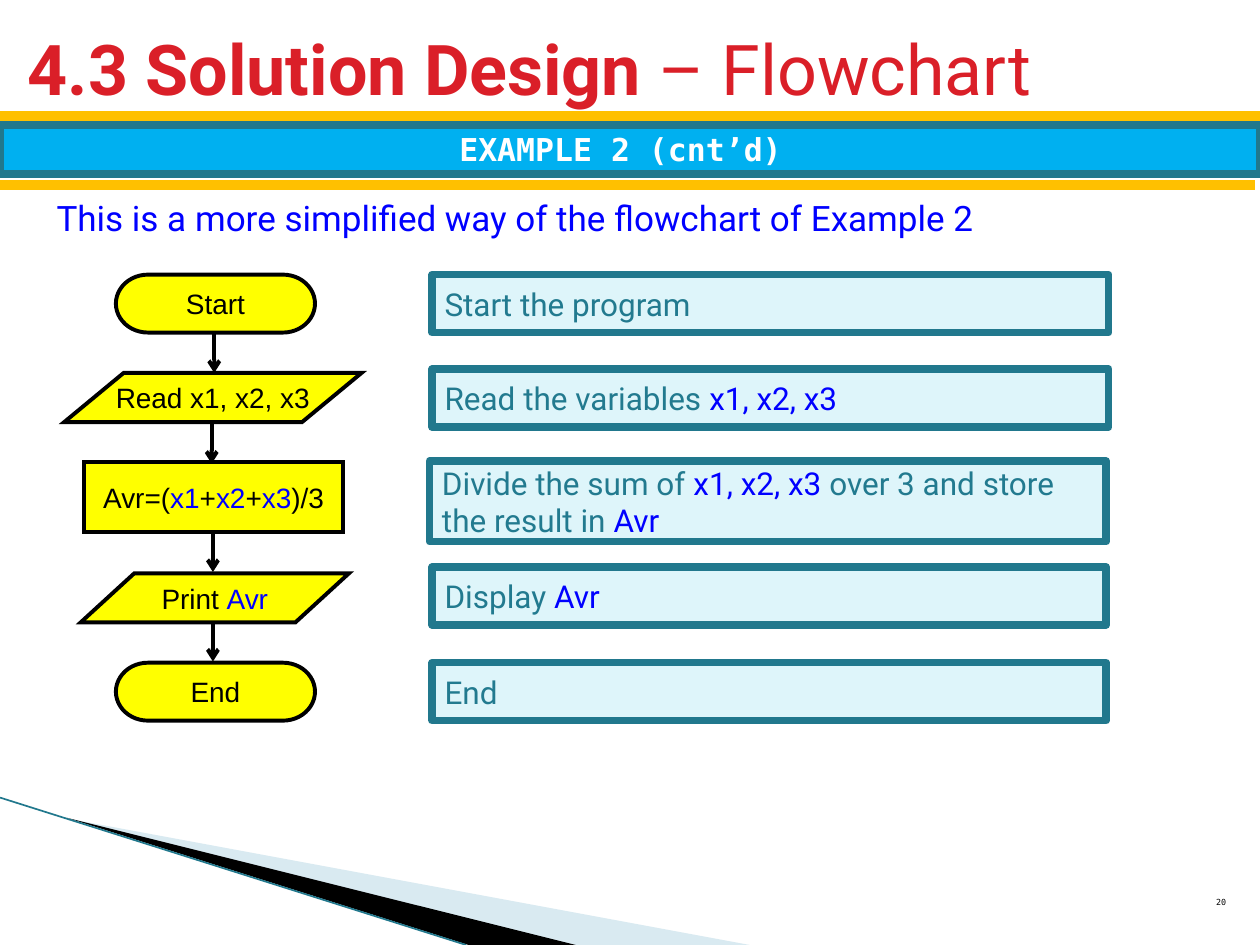
from dataclasses import dataclass

from lxml.etree import SubElement
from pptx import Presentation
from pptx.dml.color import RGBColor
from pptx.enum.shapes import MSO_CONNECTOR, MSO_SHAPE
from pptx.enum.text import MSO_ANCHOR, PP_ALIGN
from pptx.oxml.ns import qn
from pptx.util import Inches, Pt


@dataclass(frozen=True)
class Theme:
    # Colours
    red: str = "DA1F28"
    gold: str = "FFC000"
    sky: str = "00B0F0"
    teal: str = "21788D"
    ink: str = "227A8F"
    pale: str = "DEF5FA"
    mist: str = "A0CBDC"
    yellow: str = "FFFF00"
    blue: str = "0000FF"
    black: str = "000000"
    white: str = "FFFFFF"
    # Fonts
    sans: str = "Roboto"
    mono: str = "DejaVu Sans Mono"
    plain: str = "Arial"
    # Type sizes and line widths in points
    head: float = 40
    lead: float = 20
    note: float = 18
    step: float = 16
    page: float = 4.8
    thin: float = 0.95
    edge: float = 2.25
    frame: float = 4.33
    rule: float = 6


def write(shape, text, size, font, color, key=None, bold=False, key_bold=None,
          align=PP_ALIGN.LEFT, anchor=MSO_ANCHOR.MIDDLE, wrap=True, space=None):
    """Put text in a shape; every second part between bars takes the key format."""
    frame = shape.text_frame
    frame.word_wrap = wrap
    frame.vertical_anchor = anchor
    para = frame.paragraphs[0]
    para.alignment = align
    if space:
        para.line_spacing = space
    for i, part in enumerate(text.split("|")):
        keyed = i % 2 == 1
        run = para.add_run()
        run.text = part
        run.font.name = font
        run.font.size = Pt(size)
        run.font.bold = key_bold if keyed and key_bold is not None else bold
        run.font.color.rgb = RGBColor.from_string(key if keyed and key else color)


class Deck:
    def __init__(self, theme):
        self.theme = theme
        self.file = Presentation()
        self.file.slide_width, self.file.slide_height = Inches(10), Inches(7.5)
        self.slide = self.file.slides.add_slide(self.file.slide_layouts[5])
        self.shapes = self.slide.shapes

    def title(self, text, box, **form):
        shape = self.shapes.title
        shape.left, shape.top, shape.width, shape.height = map(Inches, box)
        write(shape, text, **form)

    def label(self, text, box, **form):
        write(self.shapes.add_textbox(*map(Inches, box)), text, **form)

    def block(self, kind, box, fill, line, width, text, miter=False, **form):
        shape = self.shapes.add_shape(kind, *map(Inches, box))
        self.paint(shape, fill)
        shape.line.color.rgb = RGBColor.from_string(line)
        shape.line.width = Pt(width)
        if miter:
            SubElement(shape.line._get_or_add_ln(), qn("a:miter"), lim="800000")
        write(shape, text, **form)

    def line(self, start, end, color, width, arrow=False):
        link = self.shapes.add_connector(
            MSO_CONNECTOR.STRAIGHT, *map(Inches, (*start, *end)))
        link.line.color.rgb = RGBColor.from_string(color)
        link.line.width = Pt(width)
        if arrow:
            SubElement(link.line._get_or_add_ln(), qn("a:tailEnd"), type="arrow")
        SubElement(link._element.spPr, qn("a:effectLst"))

    def wedge(self, points, fill, alpha=None):
        first, *rest = [tuple(map(Inches, point)) for point in points]
        path = self.shapes.build_freeform(*first)
        path.add_line_segments(rest, close=True)
        shape = path.convert_to_shape()
        self.paint(shape, fill)
        shape.line.fill.background()
        if alpha:
            color = shape._element.spPr.find(".//" + qn("a:srgbClr"))
            SubElement(color, qn("a:alpha"), val=str(alpha * 1000))

    def paint(self, shape, fill):
        shape.shadow.inherit = False
        shape.fill.solid()
        shape.fill.fore_color.rgb = RGBColor.from_string(fill)


def main():
    look = Theme()
    deck = Deck(look)

    # Corner wedges
    deck.wedge([(0.55, 6.5), (5.95, 7.5), (4.56, 7.5)], look.mist, alpha=40)
    deck.wedge([(0.53, 6.49), (4.57, 7.5), (3.72, 7.5)], look.black)
    deck.line((0, 6.33), (3.7, 7.5), look.teal, look.thin)

    # Title and band
    deck.line((0, 0.92), (10, 0.92), look.gold, look.rule)
    deck.line((0, 1.47), (9.96, 1.47), look.gold, look.rule)
    deck.title("4.3 Solution Design |– Flowchart", (0.12, 0.11, 9.55, 0.85),
               size=look.head, font=look.sans, color=look.red,
               bold=True, key_bold=False)
    deck.block(MSO_SHAPE.RECTANGLE, (0, 0.99, 10, 0.39), look.sky, look.teal,
               look.frame, "EXAMPLE 2 (cnt’d) ", size=look.note, font=look.mono,
               color=look.white, bold=True, align=PP_ALIGN.CENTER)
    deck.label("This is a more simplified way of the flowchart of Example 2",
               (0.35, 1.55, 9.29, 0.4), size=look.lead, font=look.sans,
               color=look.blue, anchor=MSO_ANCHOR.TOP, space=0.9)

    # Flowchart steps
    end = MSO_SHAPE.FLOWCHART_TERMINATOR
    data = MSO_SHAPE.FLOWCHART_DATA
    work = MSO_SHAPE.FLOWCHART_PROCESS
    steps = [
        (end, (0.92, 2.18, 1.58, 0.46), "Start"),
        (data, (0.51, 2.96, 2.36, 0.39), "Read x1, x2, x3"),
        (work, (0.67, 3.67, 2.05, 0.55), "Avr=(|x1|+|x2|+|x3|)/3"),
        (data, (0.64, 4.55, 2.13, 0.39), "Print |Avr"),
        (end, (0.92, 5.26, 1.58, 0.46), "End"),
    ]
    for kind, box, text in steps:
        deck.block(kind, box, look.yellow, look.black, look.edge, text, miter=True,
                   size=look.step, font=look.plain, color=look.black,
                   key=look.blue, align=PP_ALIGN.CENTER, wrap=False)

    # Arrows between steps
    for x, y in [(1.7, 2.64), (1.68, 3.36), (1.69, 4.22), (1.69, 4.93)]:
        deck.line((x, y), (x, y + 0.32), look.black, look.edge, arrow=True)

    # Notes beside the steps
    notes = [
        ((3.43, 2.18, 5.37, 0.46), "Start the program"),
        ((3.43, 2.93, 5.37, 0.46), "Read the variables |x1, x2, x3"),
        ((3.41, 3.66, 5.37, 0.64),
         "Divide the sum of |x1, x2, x3 |over 3 and store the result in |Avr"),
        ((3.43, 4.5, 5.35, 0.46), "Display |Avr"),
        ((3.43, 5.26, 5.35, 0.46), "End"),
    ]
    for box, text in notes:
        deck.block(MSO_SHAPE.RECTANGLE, box, look.pale, look.teal, look.frame, text,
                   size=look.note, font=look.sans, color=look.ink, key=look.blue)

    # Page number
    deck.label("20", (9, 7.08, 0.83, 0.17), size=look.page, font=look.mono,
               color=look.black, align=PP_ALIGN.RIGHT, anchor=MSO_ANCHOR.BOTTOM)

    deck.file.save("out.pptx")


if __name__ == "__main__":
    main()
